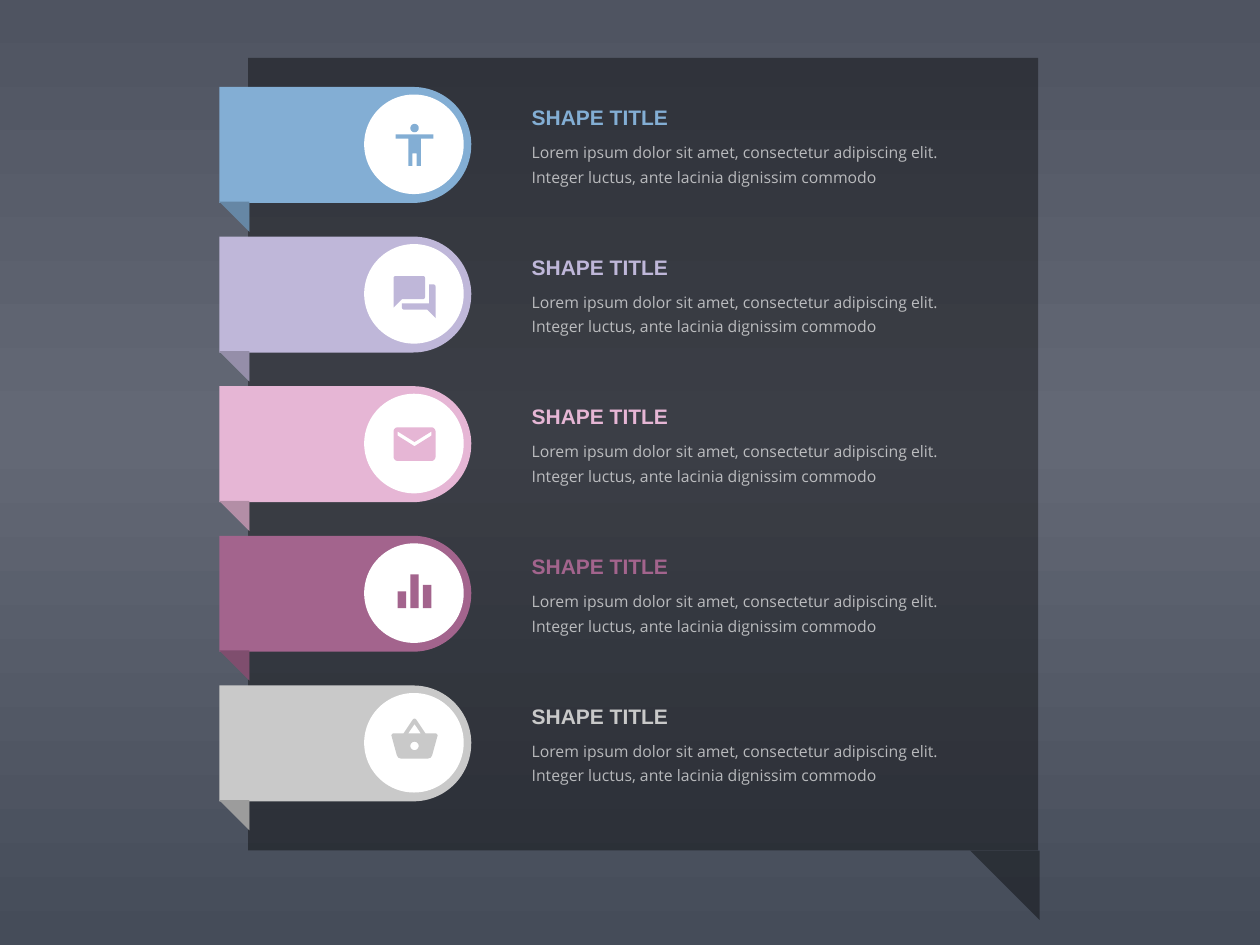
from copy import deepcopy
from dataclasses import dataclass
from math import cos, pi, sin

from lxml.etree import SubElement
from pptx import Presentation
from pptx.dml.color import RGBColor
from pptx.enum.shapes import MSO_SHAPE
from pptx.enum.text import MSO_ANCHOR, MSO_AUTO_SIZE
from pptx.oxml.ns import qn
from pptx.util import Inches, Pt

Point = tuple[float, float]
Contour = list[Point]

WHITE = RGBColor(0xFF, 0xFF, 0xFF)
BLACK = RGBColor(0x00, 0x00, 0x00)
BLUE = RGBColor(0x83, 0xAE, 0xD4)
LAVENDER = RGBColor(0xBF, 0xB7, 0xD9)
PINK = RGBColor(0xE6, 0xB6, 0xD5)
PLUM = RGBColor(0xA3, 0x64, 0x8D)
GRAY = RGBColor(0xC9, 0xC9, 0xC9)
BACKGROUND_STOPS = [
    (0, RGBColor(0x4F, 0x54, 0x61)),
    (0.46, RGBColor(0x63, 0x68, 0x75)),
    (1, RGBColor(0x45, 0x4C, 0x59)),
]

ROW_PITCH = 4.75 / 4
ICON_GRID = 24
ICON_UNIT = 1 / 60
ICON_PRECISION = 100
ICON_CENTER_X = 3.29
FIRST_ICON_CENTER_Y = 1.15
BODY_TEXT = ("Lorem ipsum dolor sit amet, consectetur adipiscing elit. "
             "Integer luctus, ante lacinia dignissim commodo")
TITLE_FONT = {"name": "Arial", "size": Pt(12), "bold": True}
BODY_FONT = {"name": "Open Sans", "size": Pt(9)}
FRAME_FORMAT = {
    "word_wrap": True,
    "auto_size": MSO_AUTO_SIZE.SHAPE_TO_FIT_TEXT,
    "margin_left": 0, "margin_right": 0, "margin_top": 0, "margin_bottom": 0,
}


@dataclass
class Box:
    left: float
    top: float
    width: float
    height: float

    def lengths(self, offset: float = 0) -> list[int]:
        return [Inches(value) for value in
                (self.left, self.top + offset, self.width, self.height)]


@dataclass
class Row:
    color: RGBColor
    icon: list[Contour]
    icon_shift: float = 0


PANEL = Box(1.97, 0.46, 6.27, 6.29)
PANEL_FOLD = Box(7.7, 6.75, 0.55, 0.55)
RIBBON = Box(2.28, 0.15, 0.92, 2)
RIBBON_FOLD = Box(1.74, 1.6, 0.24, 0.24)
DISC = Box(2.89, 0.75, 0.79, 0.79)
BODY = Box(4.22, 1.09, 3.27, 0.37)
TITLE = Box(4.22, 0.83, 3.27, 0.2)


def arc(x: float, y: float, radius: float, start: float, sweep: float, steps: int) -> Contour:
    angles = [start + sweep * step / steps for step in range(steps + 1)]
    return [(x + radius * cos(angle), y + radius * sin(angle)) for angle in angles]


def circle(x: float, y: float, radius: float) -> Contour:
    return arc(x, y, radius, 0, 2 * pi, 32)


def bar(left: float, top: float, right: float, bottom: float) -> Contour:
    return [(left, top), (right, top), (right, bottom), (left, bottom)]


def rounded(left: float, top: float, right: float, bottom: float, radius: float) -> Contour:
    corners = [(right - radius, bottom - radius), (left + radius, bottom - radius),
               (left + radius, top + radius), (right - radius, top + radius)]
    return [point for quarter, (x, y) in enumerate(corners)
            for point in arc(x, y, radius, quarter * pi / 2, pi / 2, 6)]


PERSON = [
    circle(12, 4, 2),
    [(21, 9), (15, 9), (15, 22), (13, 22), (13, 16), (11, 16),
     (11, 22), (9, 22), (9, 9), (3, 9), (3, 7), (21, 7)],
]
CHAT = [
    [*arc(21, 7, 1, -pi / 2, pi / 2, 6), (22, 22), (18, 18),
     *arc(7, 17, 1, pi / 2, pi / 2, 6), (6, 15), (19, 15), (19, 6)],
    [*arc(16, 12, 1, 0, pi / 2, 6), (6, 13), (2, 17),
     *arc(3, 3, 1, pi, pi / 2, 6), *arc(16, 3, 1, -pi / 2, pi / 2, 6)],
]
MAIL = [
    rounded(2, 4, 22, 20, 2),
    [(20, 8), (12, 13), (4, 8), (4, 6), (12, 11), (20, 6)],
]
CHART = [bar(4, 12, 8, 20), bar(10, 4, 14, 20), bar(16, 9, 20, 20)]
BASKET = [
    [(17.2, 9), (12.8, 2.4), (12.4, 2.1), (12, 2), (11.6, 2.1), (11.2, 2.4),
     (6.8, 9), (2, 9), (1.3, 9.3), (1, 10), (3.6, 19.5), (4.3, 20.6), (5.5, 21),
     (18.5, 21), (19.7, 20.6), (20.4, 19.5), (23, 10), (22.7, 9.3), (22, 9)],
    [(9, 9), (12, 4.6), (15, 9)],
    circle(12, 15, 2),
]
ROWS = [
    Row(BLUE, PERSON),
    Row(LAVENDER, CHAT, 0.02),
    Row(PINK, MAIL),
    Row(PLUM, CHART, -0.02),
    Row(GRAY, BASKET, -0.03),
]


def set_alpha(shape, percent: int) -> None:
    for color in shape.element.iter(qn("a:srgbClr")):
        SubElement(color, qn("a:alpha"), val=str(percent * 1000))


def paint(shape, color: RGBColor, alpha: int = 100) -> None:
    shape.shadow.inherit = False
    shape.fill.solid()
    shape.fill.fore_color.rgb = color
    shape.line.fill.background()
    if alpha < 100:
        set_alpha(shape, alpha)


def add_block(slide, kind: MSO_SHAPE, box: Box, color: RGBColor,
              offset: float = 0, rotation: int = 0, alpha: int = 100):
    shape = slide.shapes.add_shape(kind, *box.lengths(offset))
    shape.rotation = rotation
    paint(shape, color, alpha)
    return shape


def add_text(slide, box: Box, offset: float, text: str, font: dict,
             color: RGBColor, anchor: MSO_ANCHOR, spacing: float = 1.0):
    shape = slide.shapes.add_textbox(*box.lengths(offset))
    frame = shape.text_frame
    for name, value in {**FRAME_FORMAT, "vertical_anchor": anchor}.items():
        setattr(frame, name, value)
    paragraph = frame.paragraphs[0]
    paragraph.line_spacing = spacing
    run = paragraph.add_run()
    run.text = text
    for name, value in font.items():
        setattr(run.font, name, value)
    run.font.color.rgb = color
    return shape


def add_icon(slide, row: Row, offset: float) -> None:
    builder = slide.shapes.build_freeform(scale=Inches(ICON_UNIT) / ICON_PRECISION)
    for contour in row.icon:
        first, *others = [(round(x * ICON_PRECISION), round(y * ICON_PRECISION))
                          for x, y in contour]
        builder.move_to(*first)
        builder.add_line_segments(others, close=True)
    half = ICON_GRID * ICON_UNIT / 2
    top = FIRST_ICON_CENTER_Y + offset + row.icon_shift - half
    paint(builder.convert_to_shape(Inches(ICON_CENTER_X - half), Inches(top)), row.color)


def add_row(slide, row: Row, offset: float) -> None:
    ribbon = add_block(slide, MSO_SHAPE.ROUND_2_SAME_RECTANGLE, RIBBON, row.color, offset, 90)
    ribbon.adjustments[0] = 0.5
    for color, alpha in ((row.color, 100), (BLACK, 22)):
        add_block(slide, MSO_SHAPE.RIGHT_TRIANGLE, RIBBON_FOLD, color, offset, 180, alpha)
    add_block(slide, MSO_SHAPE.OVAL, DISC, WHITE, offset)
    body = add_text(slide, BODY, offset, BODY_TEXT, BODY_FONT, WHITE, MSO_ANCHOR.TOP, 1.3)
    set_alpha(body, 65)
    add_text(slide, TITLE, offset, "SHAPE TITLE", TITLE_FONT, row.color, MSO_ANCHOR.MIDDLE)
    add_icon(slide, row, offset)


def set_background(slide) -> None:
    fill = slide.background.fill
    fill.gradient()
    fill.gradient_angle = 270
    stops = slide.element.find(".//" + qn("a:gsLst"))
    stops.insert(1, deepcopy(stops[0]))
    for stop, (position, color) in zip(fill.gradient_stops, BACKGROUND_STOPS):
        stop.position = position
        stop.color.rgb = color


presentation = Presentation()
presentation.slide_width, presentation.slide_height = Inches(10), Inches(7.5)
slide = presentation.slides.add_slide(presentation.slide_layouts[6])
set_background(slide)
add_block(slide, MSO_SHAPE.RECTANGLE, PANEL, BLACK, alpha=40)
add_block(slide, MSO_SHAPE.RIGHT_TRIANGLE, PANEL_FOLD, BLACK, rotation=180, alpha=40)
for index, row in enumerate(ROWS):
    add_row(slide, row, index * ROW_PITCH)
presentation.save("out.pptx")
